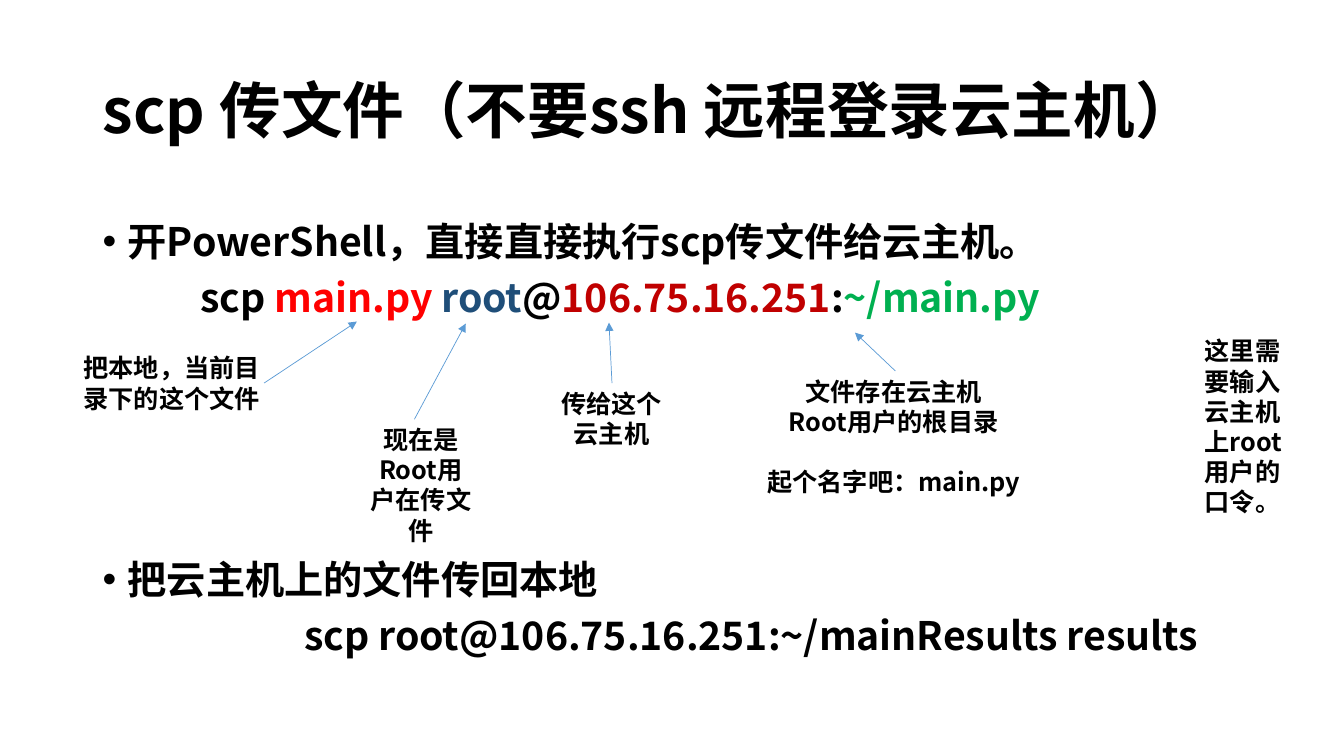
from lxml import etree
from pptx import Presentation
from pptx.dml.color import RGBColor
from pptx.enum.shapes import MSO_CONNECTOR
from pptx.enum.text import MSO_ANCHOR, PP_ALIGN
from pptx.oxml.ns import qn
from pptx.util import Inches, Pt

LEFT, CENTER = PP_ALIGN.LEFT, PP_ALIGN.CENTER
MIDDLE, TOP = MSO_ANCHOR.MIDDLE, MSO_ANCHOR.TOP
STRAIGHT = MSO_CONNECTOR.STRAIGHT
FONT = "Noto Sans CJK SC"
COLORS = {"text": "000000", "file": "FF0000", "user": "1F4E79",
          "host": "C00000", "target": "00B050", "arrow": "5B9BD5"}

# Content: every line is a list of (text, colour) parts
TITLE = [("scp 传文件（不要ssh 远程登录云主机）", "text")]

# Steps: top, bullet line, indent of the command, command
STEPS = [
    (2.16, [("开PowerShell，直接直接执行scp传文件给云主机。", "text")], 0.97,
     [("scp ", "text"), ("main.py ", "file"), ("root", "user"), ("@", "text"),
      ("106.75.16.251", "host"), (":", "text"), ("~/main.py", "target")]),
    (5.51, [("把云主机上的文件传回本地", "text")], 2.0,
     [("scp root@106.75.16.251:~/mainResults results", "text")]),
]

# Notes: box, alignment, (line, space before in points)
NOTES = [
    ((0.73, 3.45, 2.04, 0.71), LEFT, [("把本地，当前目录下的这个文件", 0)]),
    ((5.45, 3.8, 1.23, 0.71), CENTER, [("传给这个云主机", 0)]),
    ((3.56, 4.16, 1.23, 1.31), CENTER, [("现在是Root用户在传文件", 0)]),
    ((7.48, 3.68, 2.77, 1.31), CENTER,
     [("文件存在云主机", 0), ("Root用户的根目录", 0), ("起个名字吧：main.py", 21.5)]),
    ((11.85, 3.28, 1.13, 1.92), LEFT, [("这里需要输入云主机上root用户的口令。", 0)]),
]

# Arrows: from a note to its part of the command
ARROWS = [
    ((2.62, 3.8), (3.54, 3.19)),
    ((6.07, 3.8), (6.04, 3.2)),
    ((4.11, 4.16), (4.62, 3.21)),
    ((8.88, 3.68), (8.48, 3.3)),
]

prs = Presentation()
prs.slide_width, prs.slide_height = Inches(13.33), Inches(7.5)
slide = prs.slides.add_slide(prs.slide_layouts[6])


def add_box(box, anchor=TOP):
    frame = slide.shapes.add_textbox(*map(Inches, box)).text_frame
    frame.word_wrap = True
    frame.vertical_anchor = anchor
    return frame


def write(paragraph, parts, size):
    for text, color in parts:
        run = paragraph.add_run()
        run.text = text
        font = run.font
        font.name, font.size, font.bold = FONT, Pt(size), True
        font.color.rgb = RGBColor.from_string(COLORS[color])
        # East Asian typeface
        etree.SubElement(run._r.get_or_add_rPr(), qn("a:ea"), typeface=FONT)


def indent(paragraph, left, hanging=0):
    props = paragraph._p.get_or_add_pPr()
    props.set("marL", str(Inches(left)))
    props.set("indent", str(-Inches(hanging)))
    return props


# Title
heading = add_box((0.92, 0.4, 11.5, 1.45), MIDDLE).paragraphs[0]
heading.line_spacing = 0.9
write(heading, TITLE, 44)

# Steps with their commands
for top, step, command_indent, command in STEPS:
    frame = add_box((0.92, top, 11.5, 1.1))
    step_line, command_line = frame.paragraphs[0], frame.add_paragraph()
    props = indent(step_line, 0.25, 0.25)
    etree.SubElement(props, qn("a:buFont"), typeface="Arial")
    etree.SubElement(props, qn("a:buChar"), char="•")
    indent(command_line, command_indent)
    command_line.space_before = Pt(10)
    for line, parts in ((step_line, step), (command_line, command)):
        line.line_spacing = 0.9
        write(line, parts, 28)

# Notes
for box, alignment, lines in NOTES:
    frame = add_box(box)
    for i, (text, space) in enumerate(lines):
        line = frame.add_paragraph() if i else frame.paragraphs[0]
        line.alignment = alignment
        if space:
            line.space_before = Pt(space)
        write(line, [(text, "text")], 18)

# Arrows
for start, end in ARROWS:
    arrow = slide.shapes.add_connector(STRAIGHT, *map(Inches, start + end))
    arrow.line.color.rgb = RGBColor.from_string(COLORS["arrow"])
    arrow.line.width = Pt(0.5)
    etree.SubElement(arrow.line._get_or_add_ln(), qn("a:tailEnd"), type="triangle")
    etree.SubElement(arrow._element.spPr, qn("a:effectLst"))

prs.save("out.pptx")
